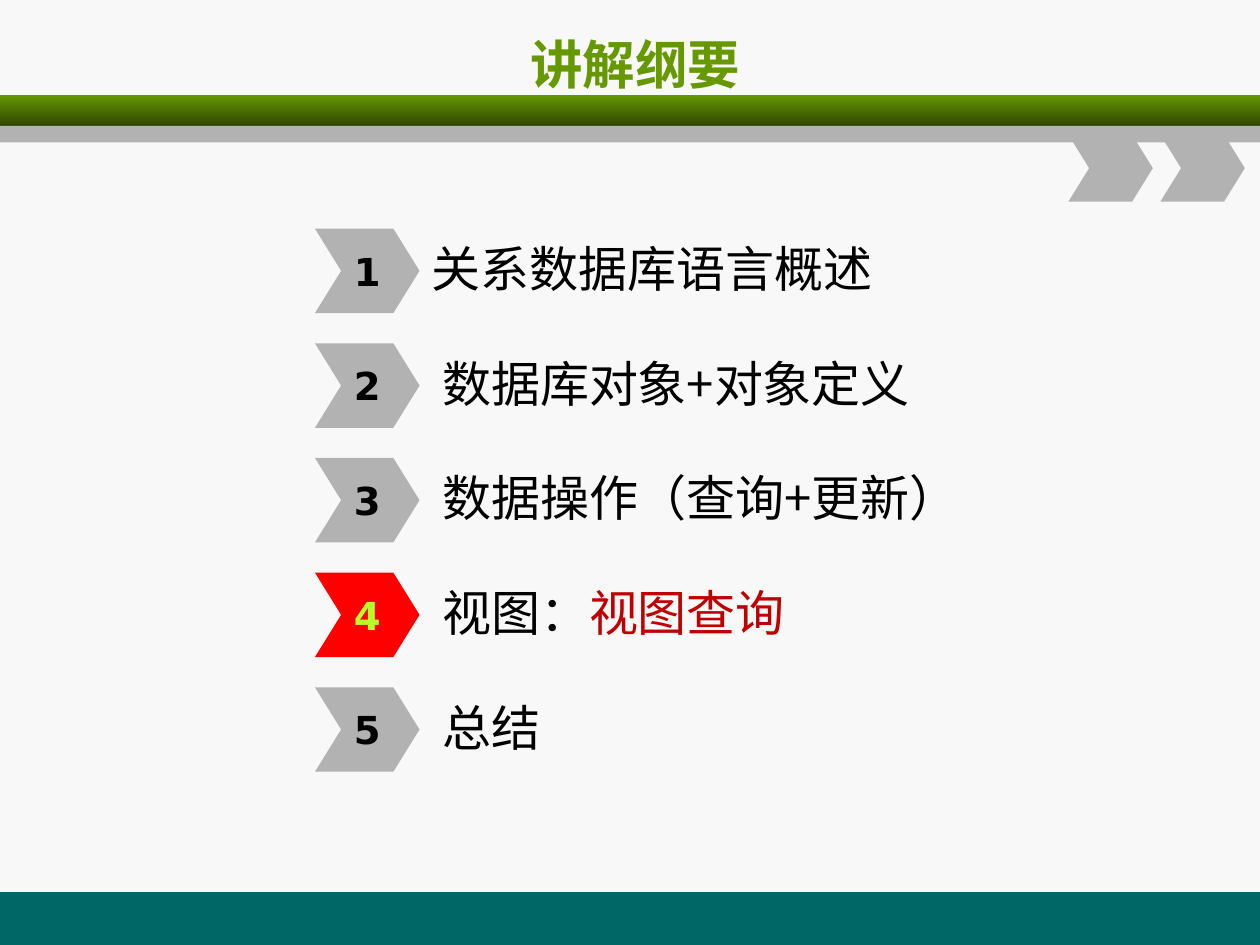
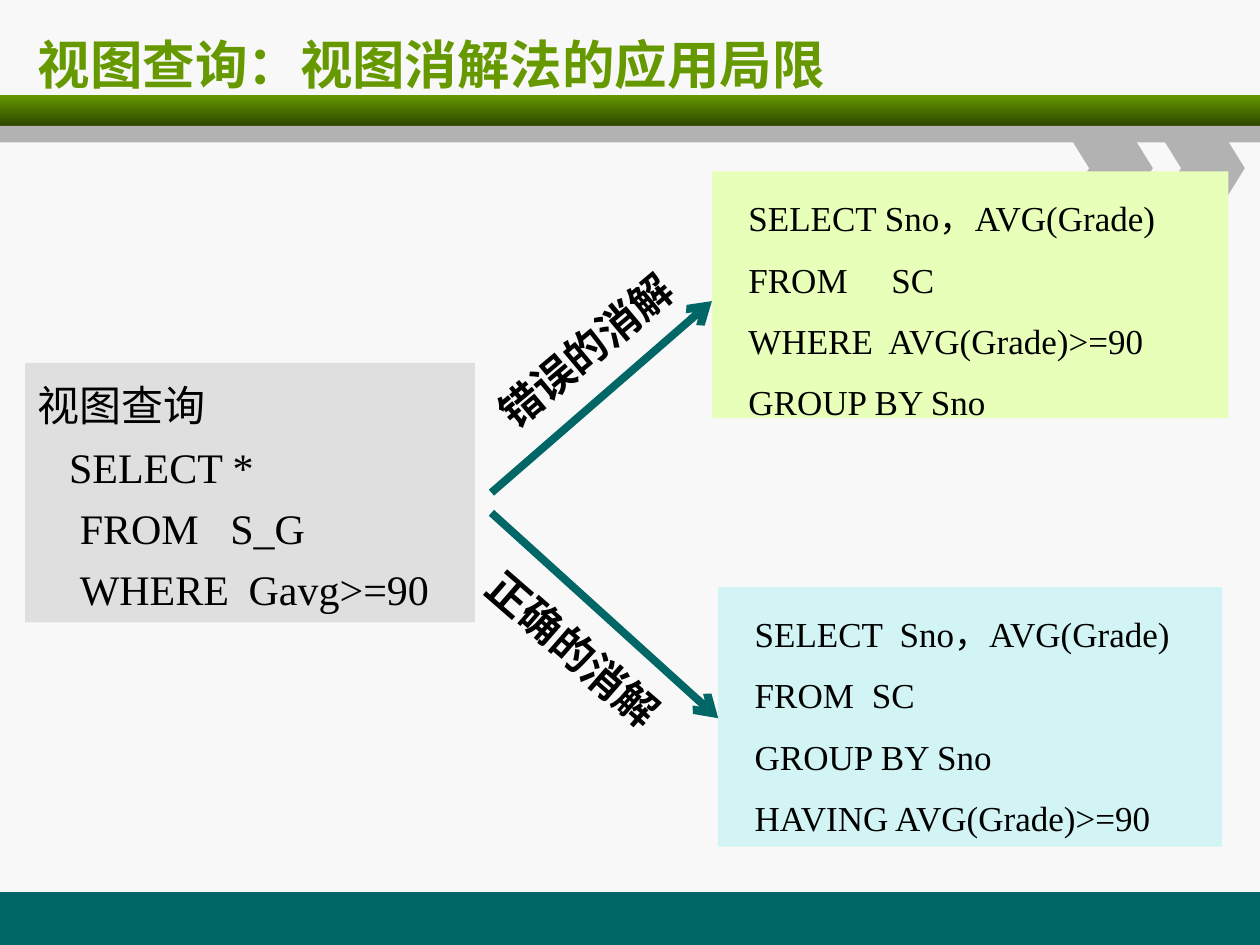
"""Build two database lecture slides: the outline and the limits of view resolution."""
from dataclasses import dataclass
from typing import NamedTuple

from lxml import etree
from pptx import Presentation
from pptx.dml.color import RGBColor
from pptx.enum.shapes import MSO_CONNECTOR, MSO_SHAPE
from pptx.enum.text import MSO_ANCHOR, PP_ALIGN
from pptx.oxml.ns import qn
from pptx.shapes.autoshape import Shape
from pptx.shapes.connector import Connector
from pptx.slide import Slide
from pptx.text.text import Font, TextFrame
from pptx.util import Inches, Pt

RECTANGLE, CHEVRON = MSO_SHAPE.RECTANGLE, MSO_SHAPE.CHEVRON
STRAIGHT = MSO_CONNECTOR.STRAIGHT
LEFT, CENTER, RIGHT = PP_ALIGN.LEFT, PP_ALIGN.CENTER, PP_ALIGN.RIGHT
TOP, MIDDLE = MSO_ANCHOR.TOP, MSO_ANCHOR.MIDDLE

SLIDE_WIDTH, SLIDE_HEIGHT = Inches(10), Inches(7.5)
COLUMN, ROW = SLIDE_WIDTH / 100, SLIDE_HEIGHT / 75

BACKGROUND = RGBColor(0xF8, 0xF8, 0xF8)
TEAL = RGBColor(0x00, 0x66, 0x66)
GREEN = RGBColor(0x66, 0x99, 0x00)
DARK_GREEN = RGBColor(0x2F, 0x47, 0x00)
GRAY = RGBColor(0xB2, 0xB2, 0xB2)
LIGHT_GRAY = RGBColor(0xDF, 0xDF, 0xDF)
LIME = RGBColor(0xB8, 0xFF, 0x29)
PALE_LIME = RGBColor(0xE7, 0xFF, 0xB8)
PALE_CYAN = RGBColor(0xD2, 0xF4, 0xF4)
RED = RGBColor(0xFF, 0x00, 0x00)
DARK_RED = RGBColor(0xC0, 0x00, 0x00)
BLACK = RGBColor(0x00, 0x00, 0x00)

CJK_FONT, NUMBER_FONT, CODE_FONT = "Noto Sans CJK SC", "DejaVu Sans", "Times New Roman"


class Box(NamedTuple):
    """Area in grid columns and rows."""
    left: float
    top: float
    width: float
    height: float

    def lengths(self) -> tuple[int, int, int, int]:
        """Return the area in slide units."""
        return (round(self.left * COLUMN), round(self.top * ROW),
                round(self.width * COLUMN), round(self.height * ROW))


@dataclass(frozen=True)
class TextStyle:
    """Look of a paragraph."""
    size: float
    color: RGBColor = BLACK
    bold: bool = False
    name: str = CJK_FONT
    align: PP_ALIGN = LEFT


class Topic(NamedTuple):
    """Outline entry with an optional highlighted ending."""
    text: str
    indent: float = 0.8
    highlight: str = ""


class CodeLine(NamedTuple):
    """Line of a query with its tab stops in columns."""
    text: str
    tabs: tuple[float, ...] = ()


class QueryPanel(NamedTuple):
    """Filled box holding a query."""
    box: Box
    fill: RGBColor
    size: float
    inset: float
    lines: list[CodeLine]


class Resolution(NamedTuple):
    """Arrow to a resolved query, with its slanted label."""
    start: tuple[float, float]
    end: tuple[float, float]
    label: str
    label_box: Box
    rotation: float


TITLE = TextStyle(30, GREEN, True)
TOPIC = TextStyle(28)
LABEL = TextStyle(24, bold=True, align=RIGHT)

FIRST_TOPIC_TOP, TOPIC_PITCH = 18.15, 9.1
CURRENT_TOPIC = 4
TOPICS = [
    Topic("关系数据库语言概述", 0),
    Topic("数据库对象+对象定义"),
    Topic("数据操作（查询+更新）"),
    Topic("视图：", highlight="视图查询"),
    Topic("总结"),
]

PANELS = [
    QueryPanel(Box(56.5, 13.6, 41, 19.6), PALE_LIME, 20, 2.9, [
        CodeLine("SELECT Sno，AVG(Grade)"),
        CodeLine("FROM\tSC", (11.35,)),
        CodeLine("WHERE\tAVG(Grade)>=90", (11.1,)),
        CodeLine("GROUP BY Sno"),
    ]),
    QueryPanel(Box(57, 46.6, 40, 20.6), PALE_CYAN, 20, 2.9, [
        CodeLine("SELECT\tSno，AVG(Grade)", (11.5,)),
        CodeLine("FROM\tSC", (9.3,)),
        CodeLine("GROUP BY Sno"),
        CodeLine("HAVING AVG(Grade)>=90"),
    ]),
    QueryPanel(Box(2, 28.8, 35.7, 20.6), LIGHT_GRAY, 24, 1, [
        CodeLine("视图查询"),
        CodeLine("\tSELECT *", (2.5,)),
        CodeLine("\tFROM\tS_G", (3.35, 15.3)),
        CodeLine("\tWHERE\tGavg>=90", (3.35, 16.75)),
    ]),
]

RESOLUTIONS = [
    Resolution((39, 39.1), (56.5, 23.9), "错误的消解", Box(36.9, 25.4, 18.9, 5), 320.1),
    Resolution((39, 40.7), (57, 57), "正确的消解", Box(36, 48.9, 18.9, 5), 41.1),
]


def set_font(font: Font, style: TextStyle) -> None:
    """Apply a style to the Latin and East Asian faces."""
    font.size, font.bold, font.name = Pt(style.size), style.bold, style.name
    font.color.rgb = style.color
    latin = font._element.find(qn("a:latin"))
    east_asian = etree.Element(qn("a:ea"), typeface=CJK_FONT)
    latin.addnext(east_asian)


def write_lines(frame: TextFrame, lines: list[CodeLine], style: TextStyle,
                spacing: float | None = None) -> None:
    """Write one paragraph for each line."""
    for index, line in enumerate(lines):
        paragraph = frame.add_paragraph() if index else frame.paragraphs[0]
        paragraph.text = line.text
        paragraph.alignment = style.align
        if spacing:
            paragraph.line_spacing = Pt(spacing)
        set_font(paragraph.font, style)
        if line.tabs:
            tab_list = etree.Element(qn("a:tabLst"))
            for tab in line.tabs:
                etree.SubElement(tab_list, qn("a:tab"), pos=str(round(tab * COLUMN)), algn="l")
            paragraph.font._element.addprevious(tab_list)


def add_filled(slide: Slide, kind: MSO_SHAPE, box: Box, color: RGBColor) -> Shape:
    """Draw a plain shape without outline or shadow."""
    shape = slide.shapes.add_shape(kind, *box.lengths())
    shape.shadow.inherit = False
    shape.fill.solid()
    shape.fill.fore_color.rgb = color
    shape.line.fill.background()
    if kind == CHEVRON:
        shape.adjustments[0] = 0.31
    return shape


def add_text(slide: Slide, box: Box, text: str, style: TextStyle, wrap: bool = True) -> Shape:
    """Draw a vertically centred line of text."""
    shape = slide.shapes.add_textbox(*box.lengths())
    shape.text_frame.word_wrap = wrap
    shape.text_frame.vertical_anchor = MIDDLE
    write_lines(shape.text_frame, [CodeLine(text)], style)
    return shape


def add_arrow(slide: Slide, start: tuple[float, float], end: tuple[float, float]) -> Connector:
    """Draw a thick arrow between two grid points."""
    points = [round(value * unit) for point in (start, end)
              for value, unit in zip(point, (COLUMN, ROW))]
    connector = slide.shapes.add_connector(STRAIGHT, *points)
    connector.line.color.rgb = TEAL
    connector.line.width = Pt(4.5)
    etree.SubElement(connector.line._get_or_add_ln(), qn("a:tailEnd"), type="arrow")
    etree.SubElement(connector._element.spPr, qn("a:effectLst"))
    return connector


def add_base_slide(presentation: Presentation) -> Slide:
    """Add a slide with the shared background, bands and chevrons."""
    slide = presentation.slides.add_slide(presentation.slide_layouts[6])
    slide.background.fill.solid()
    slide.background.fill.fore_color.rgb = BACKGROUND
    add_filled(slide, RECTANGLE, Box(0, 70.8, 100, 4.2), TEAL)
    band = add_filled(slide, RECTANGLE, Box(0, 7.5, 100, 2.5), GREEN)
    band.fill.gradient()
    band.fill.gradient_angle = 270
    for stop, color in zip(band.fill.gradient_stops, (GREEN, DARK_GREEN)):
        stop.color.rgb = color
    add_filled(slide, RECTANGLE, Box(0, 10, 100, 1.3), GRAY)
    for left in (84.8, 92.1):
        add_filled(slide, CHEVRON, Box(left, 10.7, 6.7, 5.3), GRAY)
    return slide


def add_topic(slide: Slide, number: int, topic: Topic) -> None:
    """Draw a numbered chevron and its topic."""
    top = FIRST_TOPIC_TOP + (number - 1) * TOPIC_PITCH
    current = number == CURRENT_TOPIC
    chevron = add_filled(slide, CHEVRON, Box(25, top, 8.3, 6.7), RED if current else GRAY)
    frame = chevron.text_frame
    frame.word_wrap = False
    frame.vertical_anchor = MIDDLE
    style = TextStyle(22, LIME if current else BLACK, True, NUMBER_FONT, CENTER)
    write_lines(frame, [CodeLine(str(number))], style)
    label = add_text(slide, Box(33.3, top + 0.2, 59.2, 5.8), topic.text, TOPIC)
    label.text_frame.margin_left = round((1 + topic.indent) * COLUMN)
    if topic.highlight:
        run = label.text_frame.paragraphs[0].add_run()
        run.text = topic.highlight
        run.font.color.rgb = DARK_RED


def add_panel(slide: Slide, panel: QueryPanel) -> None:
    """Draw a query on its coloured box."""
    frame = add_filled(slide, RECTANGLE, panel.box, panel.fill).text_frame
    frame.word_wrap = True
    frame.vertical_anchor = TOP
    frame.margin_left = round(panel.inset * COLUMN)
    write_lines(frame, panel.lines, TextStyle(panel.size, name=CODE_FONT), 35)


def build_outline(presentation: Presentation) -> None:
    """Build the outline slide."""
    slide = add_base_slide(presentation)
    title = add_text(slide, Box(5.4, 1.7, 90, 6.7), "讲解纲要", TITLE)
    title.text_frame.paragraphs[0].alignment = CENTER
    for number, topic in enumerate(TOPICS, 1):
        add_topic(slide, number, topic)


def build_view_query(presentation: Presentation) -> None:
    """Build the slide on view resolution."""
    slide = add_base_slide(presentation)
    add_text(slide, Box(2, 1.7, 95.5, 6.7), "视图查询：视图消解法的应用局限", TITLE)
    for panel in PANELS:
        add_panel(slide, panel)
    for resolution in RESOLUTIONS:
        add_arrow(slide, resolution.start, resolution.end)
        label = add_text(slide, resolution.label_box, resolution.label, LABEL, wrap=False)
        label.rotation = resolution.rotation


def main() -> None:
    """Build and save the presentation."""
    presentation = Presentation()
    presentation.slide_width, presentation.slide_height = SLIDE_WIDTH, SLIDE_HEIGHT
    build_outline(presentation)
    build_view_query(presentation)
    presentation.save("out.pptx")


if __name__ == "__main__":
    main()
